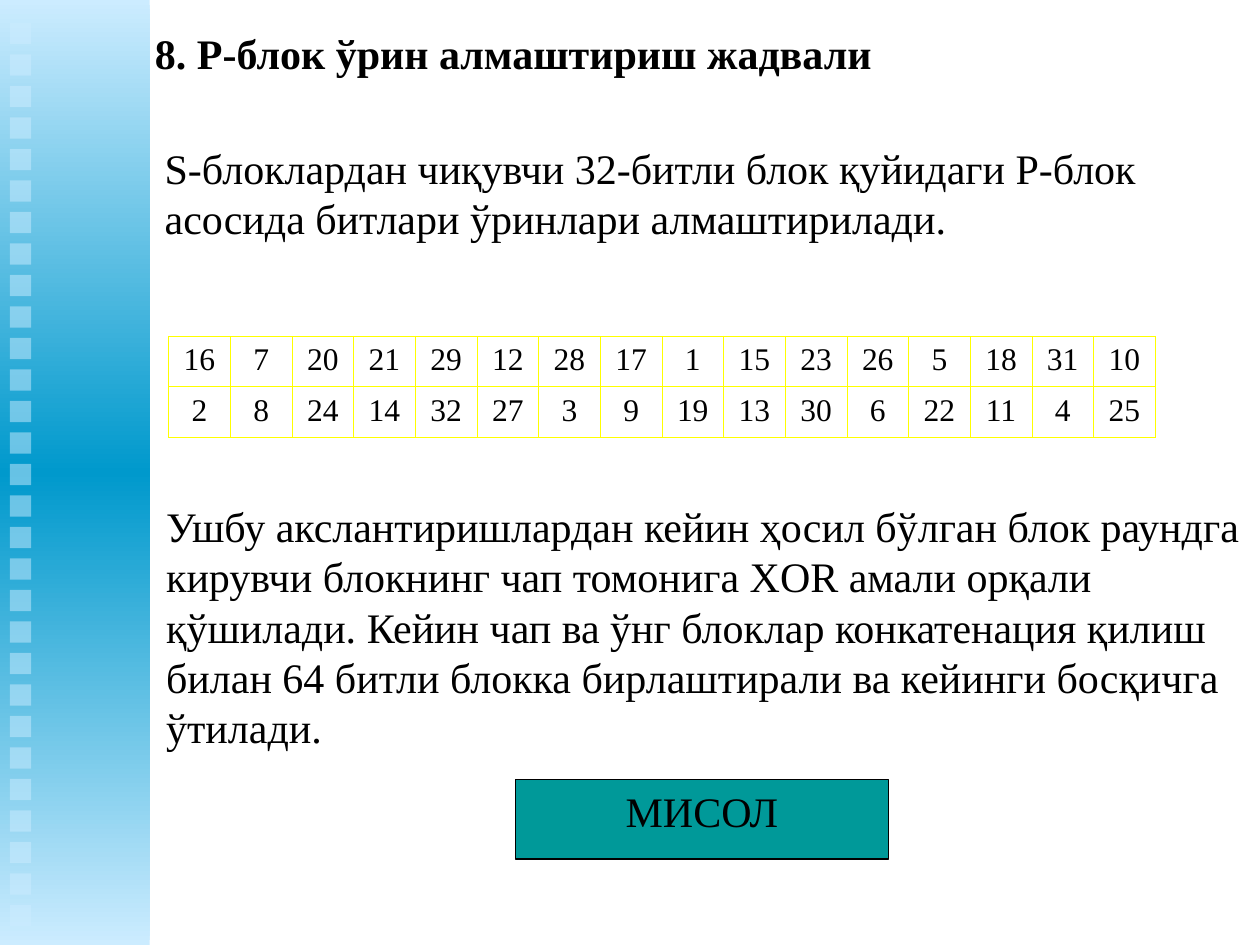
from dataclasses import dataclass

from lxml import etree
from copy import deepcopy
from pptx import Presentation
from pptx.dml.color import RGBColor
from pptx.enum.shapes import MSO_SHAPE
from pptx.enum.text import MSO_ANCHOR, MSO_AUTO_SIZE, PP_ALIGN
from pptx.oxml.ns import qn
from pptx.util import Cm, Pt

RECTANGLE = MSO_SHAPE.RECTANGLE
LEFT, CENTER = PP_ALIGN.LEFT, PP_ALIGN.CENTER
TOP = MSO_ANCHOR.TOP
NO_AUTOFIT = MSO_AUTO_SIZE.NONE

PAGE_WIDTH, PAGE_HEIGHT = 25.4, 19.05
TITLE_ONLY = 5
FONT = "Times New Roman"
BLACK, PALE, BLUE, TEAL, YELLOW = "000000", "CCECFF", "0099CC", "009999", "FFFF00"
SQUARE_COUNT = 29
SQUARE_PITCH = PAGE_HEIGHT / 30

BODY = {"name": FONT, "size": Pt(24), "bold": False}
HEADING = {**BODY, "bold": True}
CELL = {**BODY, "size": Pt(18)}

P_BLOCK = [
    [16, 7, 20, 21, 29, 12, 28, 17, 1, 15, 23, 26, 5, 18, 31, 10],
    [2, 8, 24, 14, 32, 27, 3, 9, 19, 13, 30, 6, 22, 11, 4, 25],
]


@dataclass
class Area:
    left: float
    top: float
    width: float
    height: float

    def lengths(self) -> tuple:
        return Cm(self.left), Cm(self.top), Cm(self.width), Cm(self.height)


@dataclass
class Passage:
    area: Area
    text: str


PASSAGES = [
    Passage(
        Area(3.07, 2.74, 22.23, 2.29),
        "S-блоклардан чиқувчи 32-битли блок қуйидаги Р-блок асосида битлари "
        "ўринлари алмаштирилади.",
    ),
    Passage(
        Area(3.1, 9.96, 22.2, 5.33),
        "Ушбу акслантиришлардан кейин ҳосил бўлган блок раундга кирувчи "
        "блокнинг чап томонига XOR амали орқали қўшилади. Кейин чап ва ўнг "
        "блоклар конкатенация қилиш билан 64 битли блокка бирлаштирали ва "
        "кейинги босқичга ўтилади.",
    ),
]


def color(value: str) -> RGBColor:
    return RGBColor.from_string(value)


def write(frame, text: str, style: dict, align=LEFT, wrap: bool = True) -> None:
    frame.word_wrap = wrap
    para = frame.paragraphs[0]
    para.alignment = align
    span = para.add_run()
    span.text = text
    for name, value in style.items():
        setattr(span.font, name, value)
    span.font.color.rgb = color(BLACK)


def add_rectangle(page, area: Area, fill: str):
    box = page.shapes.add_shape(RECTANGLE, *area.lengths())
    box.shadow.inherit = False
    box.fill.solid()
    box.fill.fore_color.rgb = color(fill)
    box.line.fill.background()
    return box


def add_sidebar(page) -> None:
    band = add_rectangle(page, Area(0, 0, 3.02, PAGE_HEIGHT), BLUE)
    band.fill.gradient()
    band.fill.gradient_angle = 270
    stops = band.fill.gradient_stops
    last = stops[1]._gs
    last.addprevious(deepcopy(last))
    for stop, position, tone in zip(band.fill.gradient_stops, (0, 0.5, 1), (PALE, BLUE, PALE)):
        stop.position = position
        stop.color.rgb = color(tone)

    for index in range(SQUARE_COUNT):
        top = 0.46 + index * SQUARE_PITCH
        square = add_rectangle(page, Area(0.2, top, 0.43, 0.43), PALE)
        tone = square.fill._xPr.find(".//" + qn("a:srgbClr"))
        etree.SubElement(tone, qn("a:alpha"), val="50000")


def add_borders(cell, tone: str, width: float) -> None:
    properties = cell._tc.get_or_add_tcPr()
    for index, side in enumerate(("lnL", "lnR", "lnT", "lnB")):
        line = etree.Element(qn("a:" + side), w=str(int(Pt(width))))
        fill = etree.SubElement(line, qn("a:solidFill"))
        etree.SubElement(fill, qn("a:srgbClr"), val=tone)
        properties.insert(index, line)


def add_number_table(page, area: Area, rows: list) -> None:
    frame = page.shapes.add_table(len(rows), len(rows[0]), *area.lengths())
    table = frame.table
    table.first_row = table.horz_banding = False
    for row, numbers in zip(table.rows, rows):
        for cell, number in zip(row.cells, numbers):
            cell.fill.background()
            write(cell.text_frame, str(number), CELL, CENTER)
            add_borders(cell, YELLOW, 0.45)


def add_title(page, area: Area, text: str) -> None:
    title = page.shapes.title
    title.left, title.top, title.width, title.height = area.lengths()
    frame = title.text_frame
    frame.vertical_anchor = TOP
    frame.auto_size = NO_AUTOFIT
    write(frame, text, HEADING)


def main() -> None:
    deck = Presentation()
    deck.slide_width, deck.slide_height = Cm(PAGE_WIDTH), Cm(PAGE_HEIGHT)
    page = deck.slides.add_slide(deck.slide_layouts[TITLE_ONLY])

    # Decoration on the left edge
    add_sidebar(page)

    # Heading and explanations
    add_title(page, Area(2.87, 0.43, 15.04, 1.27), "8. P-блок ўрин алмаштириш жадвали")
    for passage in PASSAGES:
        box = page.shapes.add_textbox(*passage.area.lengths())
        write(box.text_frame, passage.text, BODY)

    # Permutation table
    add_number_table(page, Area(3.4, 6.78, 19.89, 2.03), P_BLOCK)

    # Example button
    button = add_rectangle(page, Area(10.39, 15.72, 7.52, 1.6), TEAL)
    button.line.color.rgb = color(BLACK)
    button.line.width = Pt(0.75)
    button.text_frame.vertical_anchor = TOP
    write(button.text_frame, "МИСОЛ", BODY, CENTER, wrap=False)

    deck.save("out.pptx")


if __name__ == "__main__":
    main()
